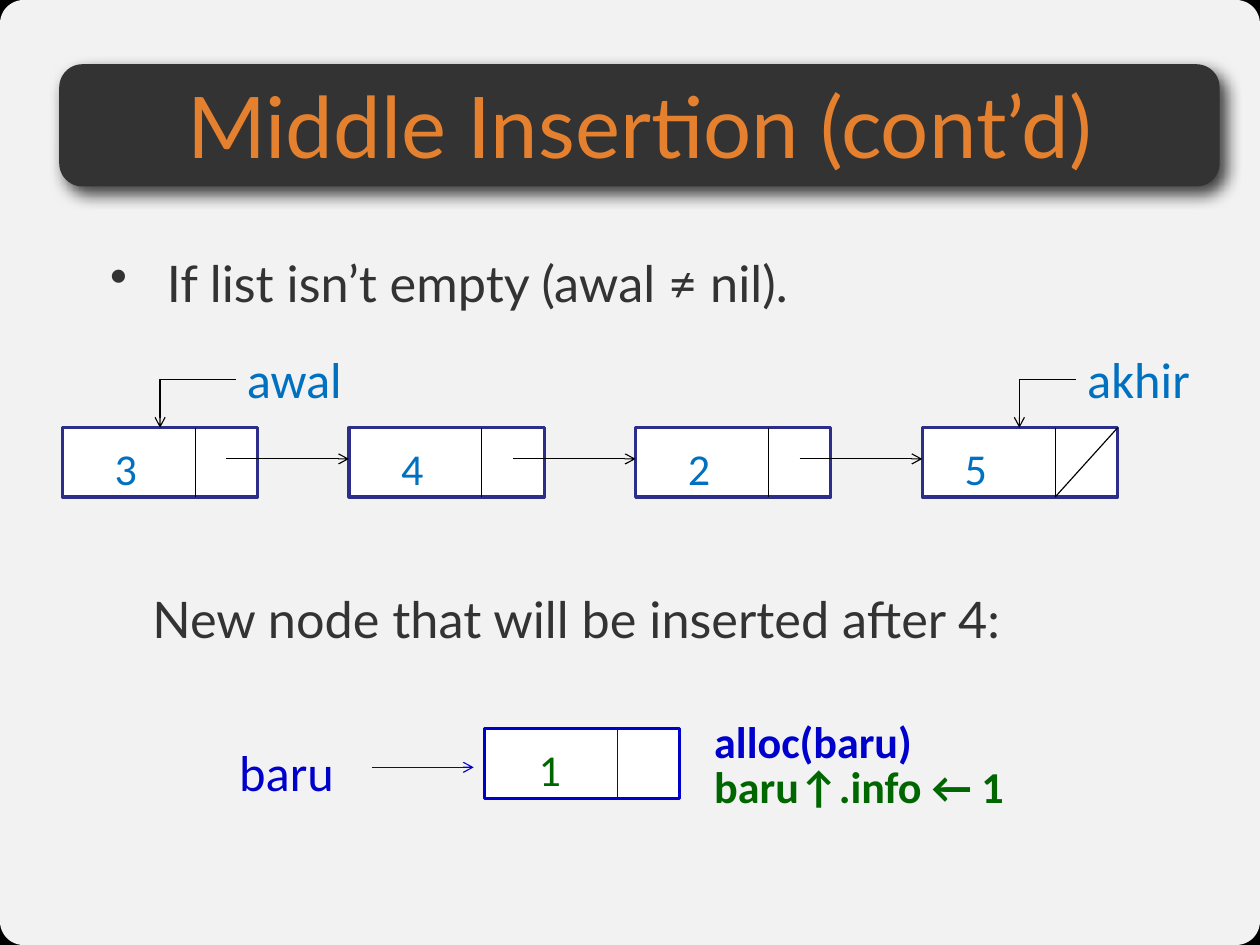
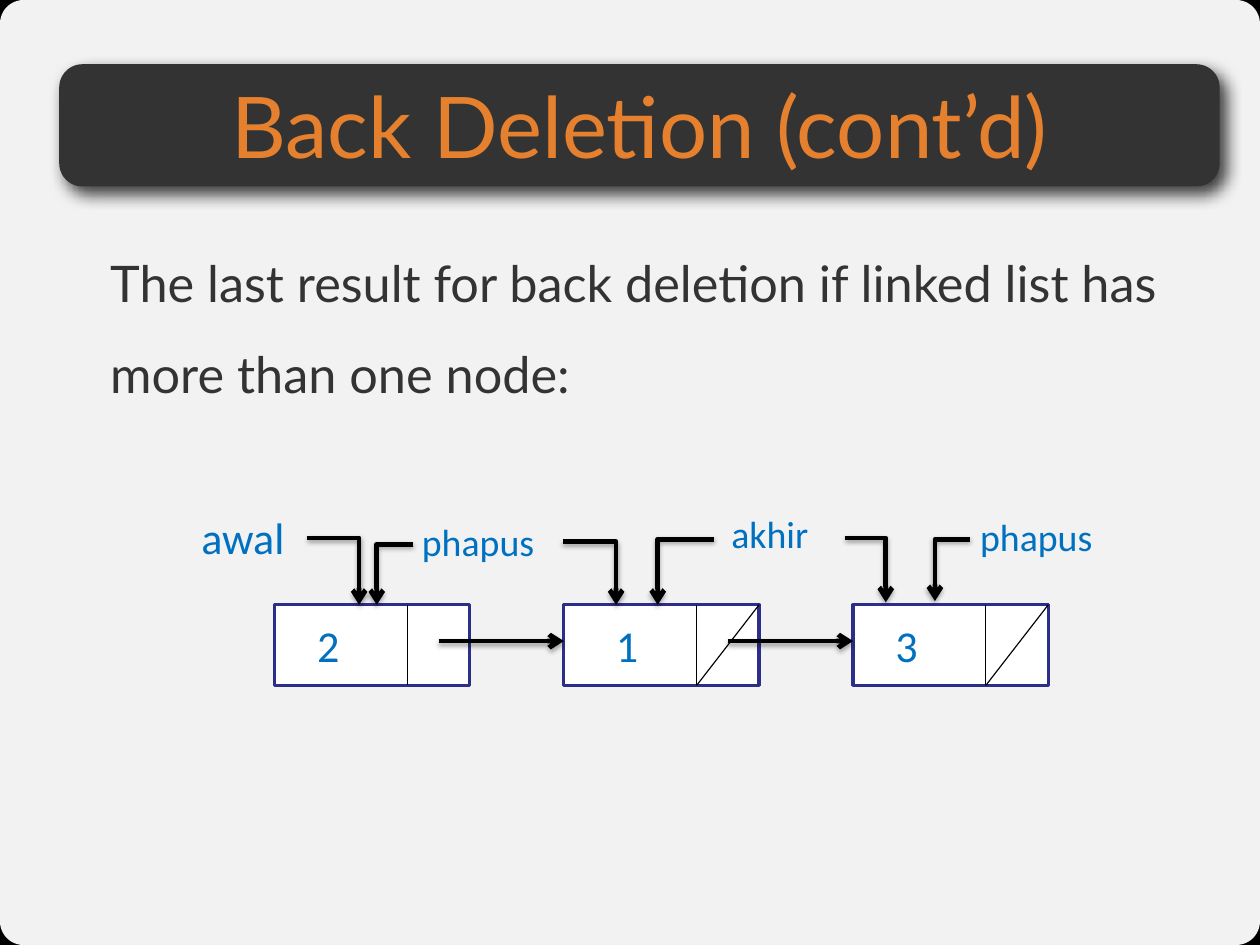
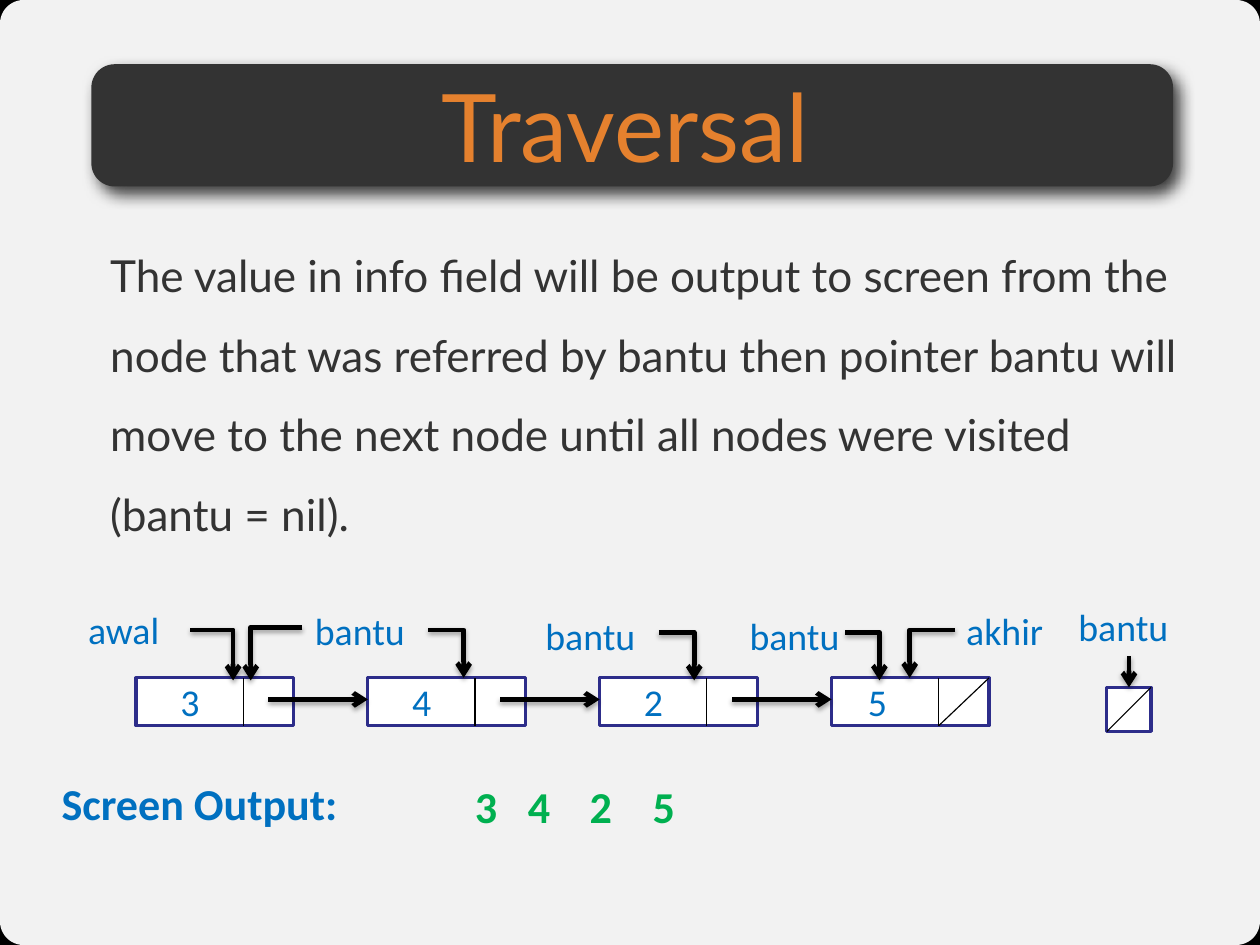
from dataclasses import dataclass

from lxml.etree import SubElement
from pptx import Presentation
from pptx.dml.color import RGBColor
from pptx.enum.shapes import MSO_CONNECTOR as Connector, MSO_SHAPE as Shape
from pptx.enum.text import MSO_ANCHOR as Anchor, PP_ALIGN as Align
from pptx.oxml.ns import qn
from pptx.util import Emu, Pt

# The slide is a grid of 100 columns by 75 rows of square cells.
COLUMNS, ROWS, CELL = 100, 75, Pt(8)

BLACK = RGBColor(0x00, 0x00, 0x00)
WHITE = RGBColor(0xFF, 0xFF, 0xFF)
CHARCOAL = RGBColor(0x33, 0x33, 0x33)
ORANGE = RGBColor(0xE5, 0x81, 0x2E)
NAVY = RGBColor(0x2D, 0x2D, 0x8A)
BLUE = RGBColor(0x00, 0x70, 0xC0)
NEW_BLUE = RGBColor(0x00, 0x00, 0xCC)
DARK_GREEN = RGBColor(0x00, 0x66, 0x00)
GREEN = RGBColor(0x00, 0xB0, 0x50)

BODY_FONT, LABEL_FONT = "Lato", "Calibri"
NO_MARGINS = dict.fromkeys(
    ("margin_left", "margin_top", "margin_right", "margin_bottom"), 0)
THIN, THICK = 0.75, 3
DIVIDER, LINK_START, LINK_HEIGHT = 0.68, 0.84, 0.45  # shares of a node
WIDE_VALUE, NEAR_VALUE = 0.21, 0.16  # value's left edge, as share of a node


@dataclass
class Chain:
    """Size and spacing of a row of list nodes, in cells."""
    left: float
    top: float
    width: float
    height: float
    step: float = 0
    value_size: int = 28
    value_drop: float = 0.65
    link_weight: float = THIN
    outline: RGBColor = NAVY
    inner_line: RGBColor = BLACK
    value_color: RGBColor = BLUE


def cells(*counts):
    return [Emu(round(count * CELL)) for count in counts]


def set_values(target, values):
    for name, value in values.items():
        setattr(target, name, value)


def add_shadow(shape, alpha, blur, distance, angle):
    effects = shape._element.spPr.find(qn("a:effectLst"))
    shadow = SubElement(
        effects, qn("a:outerShdw"), blurRad=str(Pt(blur)),
        dist=str(Pt(distance)), dir=str(angle * 60000), rotWithShape="0")
    color = SubElement(shadow, qn("a:srgbClr"), val=str(BLACK))
    SubElement(color, qn("a:alpha"), val=str(alpha * 1000))


def add_box(page, kind, place, fill, outline=None):
    box = page.shapes.add_shape(kind, *cells(*place))
    box.shadow.inherit = False
    box.fill.solid()
    box.fill.fore_color.rgb = fill
    if outline is None:
        box.line.fill.background()
    else:
        box.line.color.rgb = outline
        box.line.width = Pt(2)
    return box


def add_text(page, place, words, size, color=BLUE, font=LABEL_FONT,
             bold=False, frame_format=None, para_format=None):
    frame = page.shapes.add_textbox(*cells(*place)).text_frame
    set_values(frame, {"word_wrap": True, **(frame_format or {})})
    para = frame.paragraphs[0]
    set_values(para, para_format or {})
    span = para.add_run()
    span.text = words
    set_values(span.font, {"name": font, "size": Pt(size), "bold": bold})
    span.font.color.rgb = color
    return para


def add_line(page, ends, weight=THIN, color=BLACK, arrow=False,
             kind=Connector.STRAIGHT):
    line = page.shapes.add_connector(kind, *cells(*ends))
    line.line.color.rgb = color
    line.line.width = Pt(weight)
    if arrow:
        SubElement(line.line._get_or_add_ln(), qn("a:tailEnd"), type="arrow")
    SubElement(line._element.spPr, qn("a:effectLst"))
    if weight == THICK:
        add_shadow(line, 35, 3.1, 1.8, 90)
    return line


def add_pointer(page, ends, weight):
    """Arrow that runs sideways from a label, then down to a node."""
    pointer = add_line(page, ends, weight, arrow=True, kind=Connector.ELBOW)
    properties = pointer._element.spPr
    properties.find(qn("a:prstGeom")).set("prst", "bentConnector2")
    if ends[2] < ends[0]:
        turn = properties.find(qn("a:xfrm"))
        turn.attrib.pop("flipH")
        turn.set("rot", "10800000")
        turn.set("flipV", "1")


def add_node(page, chain, index, value, shift=WIDE_VALUE, nil=False):
    left, top = chain.left + index * chain.step, chain.top
    right, bottom = left + chain.width, top + chain.height
    split = left + DIVIDER * chain.width
    add_box(page, Shape.RECTANGLE, (left, top, chain.width, chain.height),
            WHITE, chain.outline)
    add_line(page, (split, top, split, bottom), color=chain.inner_line)
    if nil:
        add_line(page, (right, top, split, bottom))
    add_text(page, (left + shift * chain.width, top + chain.value_drop, 5.6, 5),
             value, chain.value_size, chain.value_color)


def add_chain(page, chain, nodes):
    for index, node in enumerate(nodes):
        add_node(page, chain, index, *node)
    level = chain.top + LINK_HEIGHT * chain.height
    for index in range(len(nodes) - 1):
        left = chain.left + index * chain.step
        add_line(page, (left + LINK_START * chain.width, level,
                        left + chain.step, level),
                 chain.link_weight, arrow=True)


def add_labels(page, labels):
    for words, size, left, top in labels:
        add_text(page, (left, top, 12, 5), words, size)


def add_pointers(page, weight, pointers):
    for ends in pointers:
        add_pointer(page, ends, weight)


def add_body(page, words, size=32, bullet=False):
    para = add_text(page, (8.75, 17.65, 86, 50.3), words, size, CHARCOAL,
                    BODY_FONT, frame_format=NO_MARGINS,
                    para_format={"line_spacing": 1.5})
    if bullet:
        indent = Pt(36)
        layout = para._p.get_or_add_pPr()
        layout.set("marL", str(indent))
        layout.set("indent", str(-indent))
        SubElement(layout, qn("a:buChar"), char="•")


def add_page(deck, title, size=54, band=(4.7, 92.1), title_left=4.7):
    """Page with its panel and title band; band is (left, width)."""
    page = deck.slides.add_slide(deck.slide_layouts[6])
    page.background.fill.solid()
    page.background.fill.fore_color.rgb = BLACK
    panel = add_box(page, Shape.ROUNDED_RECTANGLE, (0, 0, COLUMNS, ROWS), WHITE)
    panel.adjustments[0] = 0.025
    tint = panel._element.spPr.find(qn("a:solidFill"))[0]
    SubElement(tint, qn("a:alpha"), val="95000")
    left, width = band
    bar = add_box(page, Shape.ROUNDED_RECTANGLE, (left, 5.1, width, 9.7),
                  CHARCOAL)
    bar.adjustments[0] = 0.19
    add_shadow(bar, 75, 10, 6, 51)
    add_text(page, (title_left, 5.4, left + width - title_left, 9), title,
             size, ORANGE, BODY_FONT,
             frame_format={**NO_MARGINS, "vertical_anchor": Anchor.MIDDLE},
             para_format={"alignment": Align.CENTER})
    return page


def add_insertion(deck):
    page = add_page(deck, "Middle Insertion (cont’d)")
    add_body(page, "If list isn’t empty (awal ≠ nil).", bullet=True)
    add_chain(page, Chain(4.95, 33.95, 15.5, 5.5, step=22.75),
              [("3",), ("4",), ("2",), ("5", NEAR_VALUE, True)])
    add_labels(page, [("awal", 32, 18.7, 27.2), ("akhir", 32, 85.4, 27.2)])
    add_pointers(page, THIN, [(18.7, 30.1, 12.7, 33.95),
                              (85.4, 30.1, 80.9, 33.95)])
    add_text(page, (11.2, 46.2, 78, 6.7),
             "New node that will be inserted after 4:", 32, CHARCOAL, BODY_FONT)
    new_node = Chain(38.45, 57.8, 15.5, 5.6, outline=NEW_BLUE,
                     inner_line=NEW_BLUE, value_color=DARK_GREEN)
    add_node(page, new_node, 0, "1", 0.22)
    add_text(page, (18.1, 58.4, 11.3, 4.8), "baru", 32, NEW_BLUE)
    add_line(page, (29.5, 60.9, 37.6, 60.9), color=NEW_BLUE, arrow=True)
    for row, words, color in ((56.25, "alloc(baru)", NEW_BLUE),
                              (59.85, "baru↑.info ← 1", DARK_GREEN)):
        add_text(page, (55.8, row, 33, 6.7), words, 28, color, bold=True)


def add_deletion(deck):
    page = add_page(deck, "Back Deletion (cont’d)")
    add_body(page, "The last result for back deletion if linked list has "
                   "more than one node:")
    add_chain(page, Chain(21.8, 48, 15.5, 6.4, step=22.95, link_weight=THICK),
              [("2", NEAR_VALUE), ("1", WIDE_VALUE, True),
               ("3", NEAR_VALUE, True)])
    add_labels(page, [("awal", 28, 15.1, 40.1), ("phapus", 24, 32.6, 40.7),
                      ("akhir", 24, 57.15, 40.1), ("phapus", 24, 76.9, 40.3)])
    add_pointers(page, THICK, [
        (24.4, 42.7, 28.5, 48), (32.8, 43.2, 29.9, 48),
        (44.7, 43, 48.9, 48), (56.7, 42.8, 52.2, 48),
        (67.1, 42.7, 70.3, 47.8), (77, 42.8, 74.2, 47.7)])


def add_traversal(deck):
    page = add_page(deck, "Traversal", 60, band=(7.25, 85.85), title_left=6.1)
    add_body(page, "The value in info field will be output to screen from the "
                   "node that was referred by bantu then pointer bantu will "
                   "move to the next node until all nodes were visited "
                   "(bantu = nil).", 28)
    chain = Chain(10.8, 53.8, 12.5, 3.8, step=18.4, value_size=24,
                  value_drop=-0.35, link_weight=THICK)
    add_chain(page, chain,
              [("3",), ("4",), ("2",), ("5", NEAR_VALUE, True)])
    add_labels(page, [
        ("awal", 24, 6.1, 47.7), ("bantu", 24, 24.1, 47.8),
        ("bantu", 24, 42.4, 48.2), ("bantu", 24, 58.6, 48.2),
        ("akhir", 24, 75.8, 47.8), ("bantu", 24, 84.7, 47.5)])
    add_pointers(page, THICK, [
        (15.1, 50, 18.5, 54), (24, 49.8, 19.9, 54),
        (34, 50, 36.8, 53.8), (52.3, 50.2, 55.1, 54),
        (67.1, 50.2, 69.8, 54), (75.8, 50, 72.2, 53.8)])

    left, top, side = 87.85, 54.55, 3.5
    middle = left + side / 2
    add_box(page, Shape.RECTANGLE, (left, top, side, side), WHITE, NAVY)
    add_line(page, (left + side, top, left, top + side))
    add_line(page, (middle, 52.1, middle, top), THICK, arrow=True)

    add_text(page, (4, 61.2, 32, 5.1), "Screen Output:", 28, bold=True)
    for value, column in (("3", 36.8), ("4", 41), ("2", 45.9), ("5", 50.9)):
        add_text(page, (column, 61.4, 5, 5.1), value, 28, GREEN, bold=True)


def main():
    deck = Presentation()
    deck.slide_width, deck.slide_height = cells(COLUMNS, ROWS)
    for add_slide in (add_insertion, add_deletion, add_traversal):
        add_slide(deck)
    deck.save("out.pptx")


if __name__ == "__main__":
    main()
